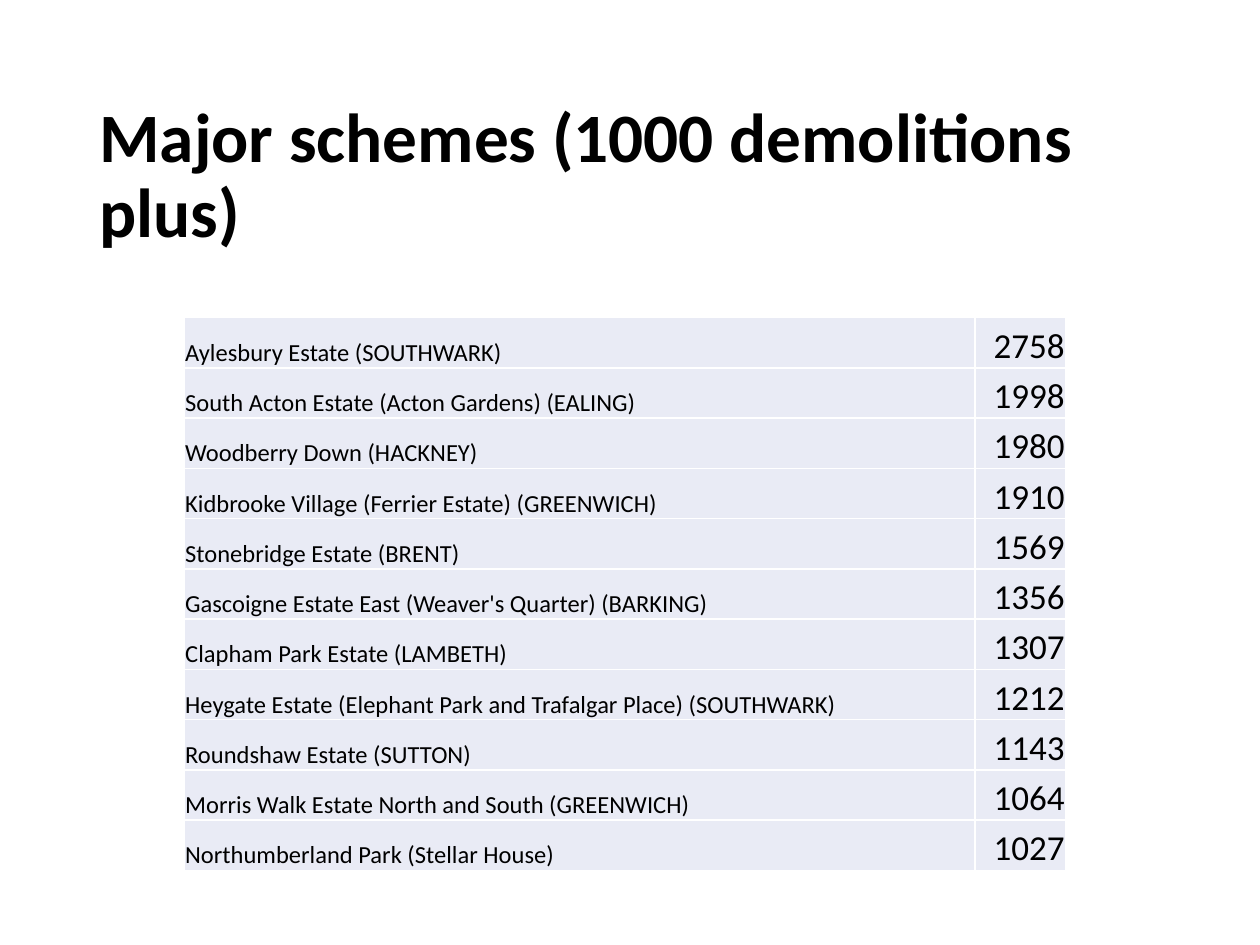
from lxml.etree import SubElement
from pptx import Presentation
from pptx.dml.color import RGBColor
from pptx.enum.text import MSO_ANCHOR, PP_ALIGN
from pptx.oxml.ns import qn
from pptx.util import Inches, Pt

WIDE, HIGH = Inches(10), Inches(7.5)
HUES = {"ink": "000000", "band": "E9EBF5", "rule": "FFFFFF"}
TITLE = "Major schemes (1000 demolitions plus)"
SCHEMES = [
    ("Aylesbury Estate (SOUTHWARK)", 2758),
    ("South Acton Estate (Acton Gardens) (EALING)", 1998),
    ("Woodberry Down (HACKNEY)", 1980),
    ("Kidbrooke Village (Ferrier Estate) (GREENWICH)", 1910),
    ("Stonebridge Estate (BRENT)", 1569),
    ("Gascoigne Estate East (Weaver's Quarter) (BARKING)", 1356),
    ("Clapham Park Estate (LAMBETH)", 1307),
    ("Heygate Estate (Elephant Park and Trafalgar Place) (SOUTHWARK)", 1212),
    ("Roundshaw Estate (SUTTON)", 1143),
    ("Morris Walk Estate North and South (GREENWICH)", 1064),
    ("Northumberland Park (Stellar House)", 1027),
]
LOOKS = [  # name column, count column
    {"size": Pt(14), "align": PP_ALIGN.LEFT},
    {"size": Pt(20), "align": PP_ALIGN.RIGHT},
]
CELL = {
    "margin_left": Inches(0.01), "margin_right": Inches(0.01),
    "margin_top": Inches(0.01), "margin_bottom": 0,
    "vertical_anchor": MSO_ANCHOR.BOTTOM,
}
FRAME = {
    "word_wrap": True, "vertical_anchor": MSO_ANCHOR.MIDDLE,
    "margin_top": Inches(0.62), "margin_bottom": Inches(0.05),
}


def apply(part, looks):
    for key, value in looks.items():
        setattr(part, key, value)


def share(left, top, width, height):
    """Turn shares of the slide into a box in EMU."""
    return [int(part * side) for part, side in
            zip((left, top, width, height), (WIDE, HIGH) * 2)]


def write(para, text, size, bold=False, align=PP_ALIGN.LEFT):
    run = para.add_run()
    run.text = text
    para.alignment = align
    apply(run.font, {"name": "Calibri", "size": size, "bold": bold})
    run.font.color.rgb = RGBColor.from_string(HUES["ink"])


def edge(cell):
    """Rule all four sides of a cell; lines must precede its fill."""
    props = cell._tc.get_or_add_tcPr()
    for side in ("lnL", "lnR", "lnT", "lnB"):
        line = SubElement(props, qn(f"a:{side}"), w=str(Pt(1)))
        fill = SubElement(line, qn("a:solidFill"))
        SubElement(fill, qn("a:srgbClr"), val=HUES["rule"])


def add_title(slide, box):
    frame = slide.shapes.add_textbox(*box).text_frame
    apply(frame, FRAME)
    para = frame.paragraphs[0]
    para.line_spacing = 0.9
    write(para, TITLE, Pt(39.6), bold=True)


def add_schemes(slide, box):
    table = slide.shapes.add_table(len(SCHEMES), 2, *box).table
    apply(table, {"first_row": False, "horz_banding": False})
    name, count = table.columns
    count.width = Inches(0.72)
    name.width = box[2] - count.width
    for row, values in zip(table.rows, SCHEMES):
        for cell, value, look in zip(row.cells, values, LOOKS):
            apply(cell, CELL)
            edge(cell)
            cell.fill.solid()
            cell.fill.fore_color.rgb = RGBColor.from_string(HUES["band"])
            write(cell.text_frame.paragraphs[0], str(value), **look)


def main():
    deck = Presentation()
    apply(deck, {"slide_width": WIDE, "slide_height": HIGH})
    slide = deck.slides.add_slide(deck.slide_layouts[6])
    add_title(slide, share(0.069, 0.053, 0.862, 0.193))
    add_schemes(slide, share(0.146, 0.336, 0.7, 0.585))
    deck.save("out.pptx")


if __name__ == "__main__":
    main()
